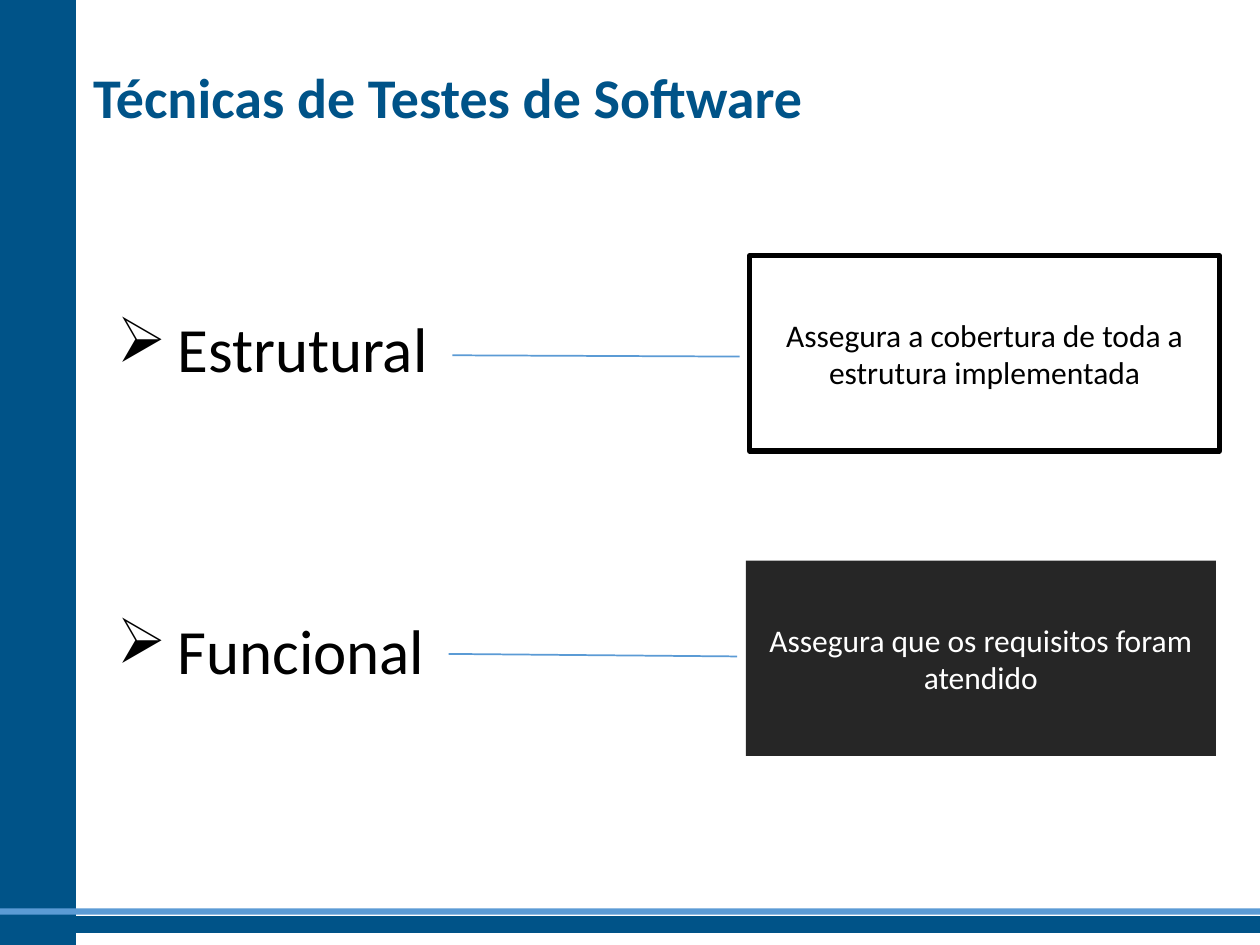
from lxml import etree
from pptx import Presentation
from pptx.dml.color import RGBColor
from pptx.enum import shapes, text
from pptx.oxml.ns import qn
from pptx.util import Inches, Pt

BLUE, LIGHT_BLUE = "005388", "5B9BD5"
BLACK, WHITE, CHARCOAL = "000000", "FFFFFF", "262626"


def color(hex_value):
    return RGBColor.from_string(hex_value)


def format_text(paragraph, size, hex_value, bold=False):
    formats = {"name": "Calibri", "size": Pt(size), "bold": bold}
    for name, value in formats.items():
        setattr(paragraph.font, name, value)
    paragraph.font.color.rgb = color(hex_value)


def add_bullet(paragraph, indent):
    properties = paragraph._p.get_or_add_pPr()
    properties.set("marL", str(indent))
    properties.set("indent", str(-indent))
    etree.SubElement(properties, qn("a:buChar")).set("char", "➢")


def add_rectangle(slide, left, top, width, height, fill, line=None, line_width=1):
    rectangle = slide.shapes.add_shape(
        shapes.MSO_SHAPE.RECTANGLE,
        Inches(left), Inches(top), Inches(width), Inches(height))
    rectangle.shadow.inherit = False
    rectangle.fill.solid()
    rectangle.fill.fore_color.rgb = color(fill)
    if line:
        rectangle.line.color.rgb = color(line)
        rectangle.line.width = Pt(line_width)
    else:
        rectangle.line.fill.background()
    return rectangle


def add_text_frame(slide, left, top, width, height, anchor):
    box = slide.shapes.add_textbox(
        Inches(left), Inches(top), Inches(width), Inches(height))
    frame = box.text_frame
    frame.word_wrap = True
    frame.vertical_anchor = anchor
    return frame


def add_title(slide, title):
    frame = add_text_frame(slide, 0.64, 0.25, 9.32, 1.03, text.MSO_ANCHOR.MIDDLE)
    frame.text = title
    format_text(frame.paragraphs[0], 32, BLUE, bold=True)


def add_techniques(slide, techniques):
    frame = add_text_frame(slide, 0.83, 2.41, 6.22, 3.73, text.MSO_ANCHOR.TOP)
    for index, technique in enumerate(techniques):
        paragraph = frame.paragraphs[0] if index == 0 else frame.add_paragraph()
        paragraph.text = technique
        if index:
            paragraph.space_before = Pt(129)
        add_bullet(paragraph, Inches(0.48))
        format_text(paragraph, 36, BLACK)


def add_link(slide, x1, y1, x2, y2):
    link = slide.shapes.add_connector(
        shapes.MSO_CONNECTOR.STRAIGHT,
        Inches(x1), Inches(y1), Inches(x2), Inches(y2))
    link.line.color.rgb = color(LIGHT_BLUE)
    link.line.width = Pt(1)
    etree.SubElement(link._element.spPr, qn("a:effectLst"))


def add_description(slide, left, top, description, fill, line, text_color):
    card = add_rectangle(slide, left, top, 3.73, 1.55, fill, line, line_width=3)
    frame = card.text_frame
    frame.word_wrap = True
    frame.vertical_anchor = text.MSO_ANCHOR.MIDDLE
    frame.text = description
    paragraph = frame.paragraphs[0]
    paragraph.alignment = text.PP_ALIGN.CENTER
    format_text(paragraph, 18, text_color)


def main():
    presentation = Presentation()
    presentation.slide_width = Inches(10)
    presentation.slide_height = Inches(7.5)
    slide = presentation.slides.add_slide(presentation.slide_layouts[6])

    # Side and bottom bands
    add_rectangle(slide, 0, 0, 0.6, 7.5, BLUE, BLUE)
    add_rectangle(slide, 0, 7.28, 10, 0.12, BLUE, BLUE)
    add_rectangle(slide, 0, 7.21, 10, 0.05, LIGHT_BLUE)

    # Title and list of techniques
    add_title(slide, "Técnicas de Testes de Software")
    add_techniques(slide, ["Estrutural", "Funcional"])

    # Structural technique
    add_link(slide, 3.59, 2.82, 5.87, 2.83)
    add_description(slide, 5.95, 2.03,
                    "Assegura a cobertura de toda a estrutura implementada",
                    WHITE, BLACK, BLACK)

    # Functional technique
    add_link(slide, 3.56, 5.19, 5.85, 5.21)
    add_description(slide, 5.92, 4.45,
                    "Assegura que os requisitos foram atendido",
                    CHARCOAL, None, WHITE)

    presentation.save("out.pptx")


if __name__ == "__main__":
    main()
